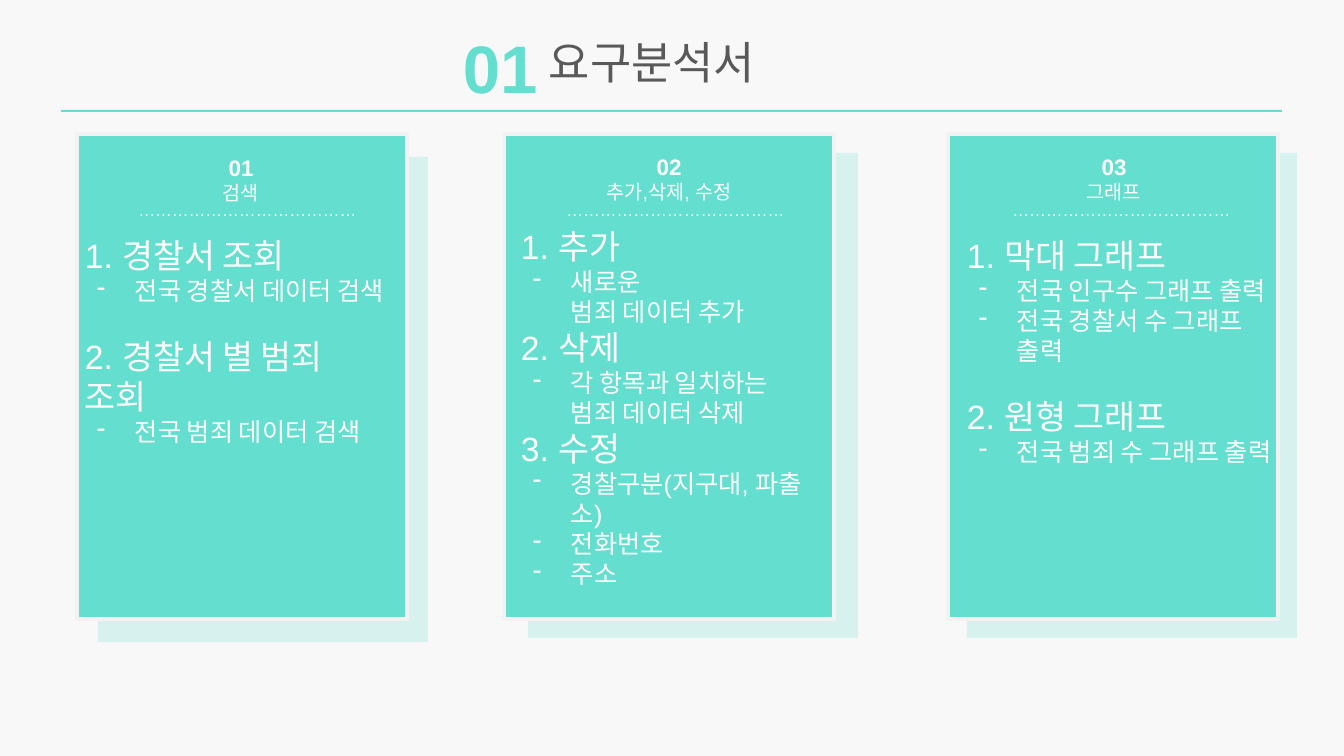
from lxml.etree import SubElement
from pptx import Presentation
from pptx.dml.color import RGBColor
from pptx.enum.shapes import MSO_SHAPE
from pptx.enum.text import MSO_AUTO_SIZE, PP_ALIGN
from pptx.oxml.ns import qn
from pptx.util import Emu, Pt

SCALE = 914400 / 100.8
MINT = RGBColor(0x64, 0xDE, 0xCF)
PALE = RGBColor(0xF2, 0xF2, 0xF2)
BACK = RGBColor(0xF8, 0xF8, 0xF8)
GRAY = RGBColor(0x59, 0x59, 0x59)
WHITE = RGBColor(0xFF, 0xFF, 0xFF)

CARD_TOP, CARD_W, CARD_H = 134, 330, 485
DOTS = "…" * 13

# Body lines: "- " starts a bullet, "+ " continues one, a number starts a
# heading; "\n" before a heading leaves a gap above it.
CARDS = [
    dict(left=77, shade=(98, 157), head=(168, 149, 146), dots=110,
         body=(75, 230, 255), num="01", name="검색",
         lines=["1. 경찰서 조회", "- 전국 경찰서 데이터 검색",
                "\n2. 경찰서 별 범죄 조회", "- 전국 범죄 데이터 검색"]),
    dict(left=504, shade=(528, 153), head=(581, 148, 176), dots=538,
         body=(511, 221, 377), num="02", name="추가,삭제, 수정",
         lines=["1. 추가", "- 새로운", "+ 범죄 데이터 추가",
                "2. 삭제", "- 각 항목과 일치하는", "+ 범죄 데이터 삭제",
                "3. 수정", "- 경찰구분(지구대, 파출소)", "- 전화번호", "- 주소"]),
    dict(left=948, shade=(967, 153), head=(1026, 148, 176), dots=984,
         body=(957, 230, 305), num="03", name="그래프",
         lines=["1. 막대 그래프", "- 전국 인구수 그래프 출력",
                "- 전국 경찰서 수 그래프 출력",
                "\n2. 원형 그래프", "- 전국 범죄 수 그래프 출력"]),
]


def px(n):
    return Emu(round(n * SCALE))


def add_rect(slide, x, y, w, h, alpha=None, line=None):
    """Add a mint rectangle; alpha is its opacity in percent."""
    rect = slide.shapes.add_shape(MSO_SHAPE.RECTANGLE, px(x), px(y), px(w), px(h))
    rect.shadow.inherit = False
    rect.fill.solid()
    rect.fill.fore_color.rgb = MINT
    if alpha:
        color = rect.fill._xPr.find(".//" + qn("a:srgbClr"))
        SubElement(color, qn("a:alpha"), val=str(alpha * 1000))
    if line:
        rect.line.color.rgb = line
        rect.line.width = Pt(2.5)
    else:
        rect.line.fill.background()


def add_box(slide, x, y, w, h):
    frame = slide.shapes.add_textbox(px(x), px(y), px(w), px(h)).text_frame
    frame.word_wrap = True
    frame.auto_size = MSO_AUTO_SIZE.SHAPE_TO_FIT_TEXT
    return frame


def style(para, text, size, color=WHITE, bold=False, align=None):
    para.text = text
    para.alignment = align
    font = para.font
    font.name, font.size, font.bold = "Arial", Pt(size), bold
    font.color.rgb = color


def indent(para, bullet):
    """Indent a paragraph, hanging a white dash if it is a bullet."""
    props = para._p.get_or_add_pPr()
    props.set("marL", str(px(50)))
    props.set("indent", str(px(-38) if bullet else 0))
    if bullet:
        color = SubElement(props, qn("a:buClr"))
        SubElement(color, qn("a:srgbClr"), val=str(WHITE))
        SubElement(props, qn("a:buChar"), char="-")


def add_body(slide, x, y, h, lines):
    frame = add_box(slide, x, y, 325, h)
    for i, line in enumerate(lines):
        para = frame.add_paragraph() if i else frame.paragraphs[0]
        if line[0] in "-+":
            indent(para, line[0] == "-")
            style(para, line[2:], 18)
        else:
            if line[0] == "\n":
                para.space_before = Pt(21.5)
            style(para, line.strip(), 24)


def add_card(slide, card):
    add_rect(slide, *card["shade"], CARD_W, CARD_H, alpha=22)
    add_rect(slide, card["left"], CARD_TOP, CARD_W, CARD_H, line=PALE)
    head = add_box(slide, *card["head"], 61)
    style(head.paragraphs[0], card["num"], 16, bold=True, align=PP_ALIGN.CENTER)
    style(head.add_paragraph(), card["name"], 14, align=PP_ALIGN.CENTER)
    dots = add_box(slide, card["dots"], 195, 275, 30)
    style(dots.paragraphs[0], DOTS, 12, align=PP_ALIGN.CENTER)
    add_body(slide, *card["body"], card["lines"])


def add_title(slide):
    add_rect(slide, 61, 110, 1221, 2)
    title = add_box(slide, 539, 30, 353, 61)
    style(title.paragraphs[0], "요구분석서", 32, GRAY)
    number = add_box(slide, 453, 21, 97, 92)
    style(number.paragraphs[0], "01", 48, MINT, bold=True)


def main():
    deck = Presentation()
    deck.slide_width, deck.slide_height = px(1344), px(756)
    slide = deck.slides.add_slide(deck.slide_layouts[6])
    slide.background.fill.solid()
    slide.background.fill.fore_color.rgb = BACK
    add_title(slide)
    for card in CARDS:
        add_card(slide, card)
    deck.save("out.pptx")


if __name__ == "__main__":
    main()
